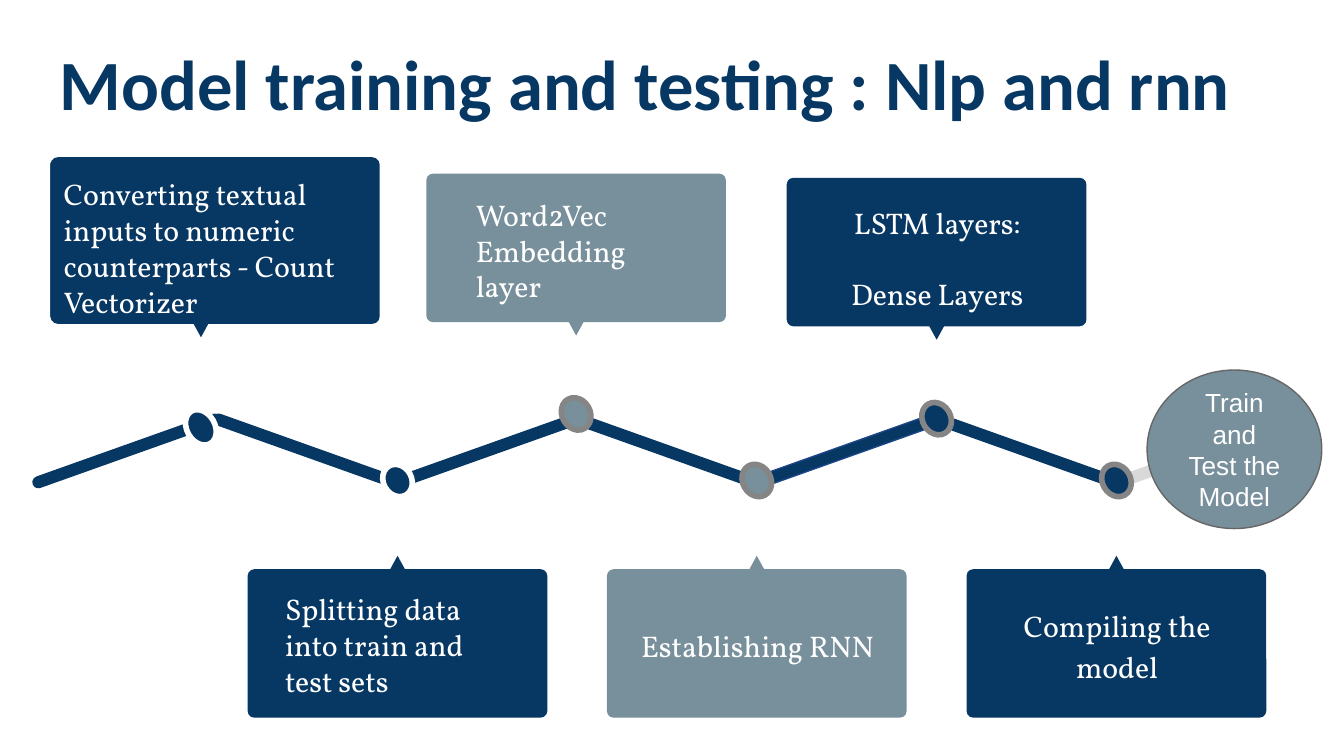
from collections import namedtuple
from pptx import Presentation
from pptx.dml.color import RGBColor
from pptx.enum.shapes import MSO_SHAPE
from pptx.enum.text import MSO_ANCHOR, PP_ALIGN
from pptx.util import Inches, Pt

COLORS = {"navy": "073763", "slate": "78909C", "pale": "D9D9D9", "white": "FFFFFF",
          "ring": "858585", "edge": "1C4587", "outline": "666666"}
Box = namedtuple("Box", "x y w h")
BODY = {"size": Pt(16), "name": "Vollkorn"}
CENTERED = {"alignment": PP_ALIGN.CENTER, "line_spacing": 1.15}
SPACED = {**CENTERED, "space_after": Pt(16)}
LATER = {**SPACED, "space_before": Pt(16)}

prs = Presentation()
prs.slide_width = Inches(10)
prs.slide_height = prs.slide_width * 9 // 16
UNIT = prs.slide_width / 100


def rgb(name):
    return RGBColor.from_string(COLORS[name])


def place(box):
    return [round(v * UNIT) for v in box]


def inside(box, x, y, w, h):
    return Box(box.x + x, box.y + y, w, h)


def apply(obj, formats):
    for key, value in formats.items():
        setattr(obj, key, value)


def add_shape(s, kind, box, fill, line=None, width=0, rotation=0, adjust=None):
    sp = s.shapes.add_shape(kind, *place(box))
    sp.shadow.inherit = False
    sp.rotation = rotation
    sp.fill.solid()
    sp.fill.fore_color.rgb = rgb(fill)
    if line:
        sp.line.color.rgb = rgb(line)
        sp.line.width = Pt(width)
    else:
        sp.line.fill.background()
    if adjust is not None:
        sp.adjustments[0] = adjust
    return sp


def write(sp, paragraphs, font, color="white", anchor=MSO_ANCHOR.MIDDLE):
    tf = sp.text_frame
    inset = round(UNIT)
    apply(tf, {"word_wrap": True, "vertical_anchor": anchor, "margin_left": inset,
               "margin_right": inset, "margin_top": inset, "margin_bottom": inset})
    for i, (text, formats) in enumerate(paragraphs):
        p = tf.add_paragraph() if i else tf.paragraphs[0]
        apply(p, {"alignment": PP_ALIGN.LEFT, **formats})
        r = p.add_run()
        r.text = text
        apply(r.font, font)
        r.font.color.rgb = rgb(color)


def add_title(s, box, text):
    sp = s.shapes.add_textbox(*place(box))
    write(sp, [(text, {})], {"size": Pt(37.8), "name": "Calibri", "bold": True},
          "navy", MSO_ANCHOR.TOP)


def add_zigzag(s, box, count):
    step = 13.4
    for i in reversed(range(count)):
        last = i == count - 1
        line = ("edge", 0.75) if i == 4 else (None, 0)
        add_shape(s, MSO_SHAPE.ROUNDED_RECTANGLE, inside(box, i * step, 0, 14.8, box.h),
                  "pale" if last else "navy", *line,
                  rotation=19.6 if i % 2 else 340.4, adjust=0.5)


def add_milestone(s, box, color, ring, pointer_x, marker, face, paragraphs,
                  above=True, anchor=MSO_ANCHOR.MIDDLE):
    marker_y, marker_h = marker
    add_shape(s, MSO_SHAPE.OVAL, Box(box.x + pointer_x - 1.05, marker_y, 2.1, marker_h),
              color, ring, 3, 330.2)
    add_shape(s, MSO_SHAPE.ROUNDED_RECTANGLE, box, color, adjust=0.045)
    add_shape(s, MSO_SHAPE.ISOSCELES_TRIANGLE,
              inside(box, pointer_x - 0.6, box.h - 0.1 if above else -1, 1.2, 1.1),
              color, rotation=180 if above else 0)
    sp = add_shape(s, MSO_SHAPE.RECTANGLE, inside(box, *face), color)
    write(sp, paragraphs, BODY, anchor=anchor)


def add_goal(s, box, text):
    sp = add_shape(s, MSO_SHAPE.OVAL, box, "slate", "outline", 0.75)
    write(sp, [(text, {"alignment": PP_ALIGN.CENTER})], {"size": Pt(14), "name": "Arial"})


def build_slide():
    s = prs.slides.add_slide(prs.slide_layouts[6])
    add_title(s, Box(3.45, 2, 93.2, 8.8), "Model training and testing : Nlp and rnn")
    add_zigzag(s, Box(2, 33.1, 95, 0.9), 7)

    full = (0.6, 0.6, 21.2, 9.8)
    card_w, card_h, low_y, mid = 22.3, 11.05, 42.35, 11.15
    low_marker = (34.5, 2.5)
    top = MSO_ANCHOR.TOP
    milestones = [
        (Box(18.43, low_y, card_w, card_h), "navy", "white", mid, low_marker,
         (1.8, 1, 18.8, 9.2), [("Splitting data into train and test sets", {})], False),
        (Box(45.16, low_y, card_w, card_h), "slate", "ring", mid, low_marker,
         full, [("Establishing RNN", SPACED)], False),
        (Box(3.75, 11.7, 24.5, 12.4), "navy", "white", 11.2, (30.4, 2.8),
         (0, 0.4, 23.5, 11.5),
         [("Converting textual inputs to numeric counterparts - Count Vectorizer", {})],
         True, top),
        (Box(31.72, 12.92, card_w, card_h), "slate", "ring", mid, (29.55, 2.5),
         (2.7, 1.1, 18, 9.2), [("Word2Vec Embedding layer", {})]),
        (Box(58.54, 13.23, card_w, card_h), "navy", "ring", mid, (29.9, 2.5),
         full, [("LSTM layers:", CENTERED), ("Dense Layers", LATER)], True, top),
        (Box(71.92, low_y, card_w, card_h), "navy", "ring", mid, low_marker,
         full, [("Compiling the model", SPACED)], False),
    ]
    for milestone in milestones:
        add_milestone(s, *milestone)
    add_goal(s, Box(85.35, 27.53, 13, 11.8), "Train and Test the Model")


if __name__ == "__main__":
    build_slide()
    prs.save("out.pptx")
